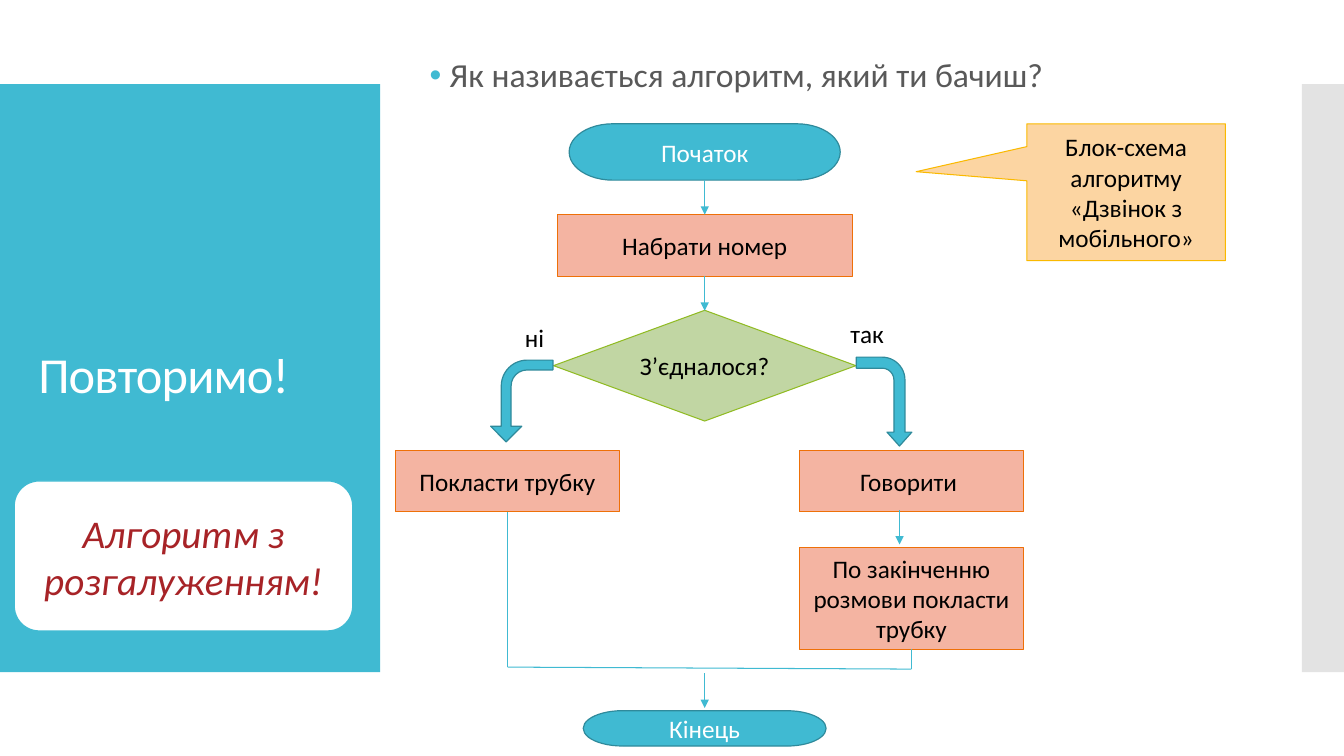
from dataclasses import dataclass

from lxml import etree
from pptx import Presentation
from pptx.dml.color import RGBColor
from pptx.enum.shapes import MSO_CONNECTOR, MSO_SHAPE
from pptx.enum.text import MSO_ANCHOR, MSO_AUTO_SIZE, PP_ALIGN
from pptx.oxml.ns import qn
from pptx.util import Cm, Pt

RECT = MSO_SHAPE.RECTANGLE
ROUND = MSO_SHAPE.ROUNDED_RECTANGLE
PILL = MSO_SHAPE.FLOWCHART_TERMINATOR
DIAMOND = MSO_SHAPE.DIAMOND
BENT = MSO_SHAPE.BENT_ARROW
CALLOUT = MSO_SHAPE.RECTANGULAR_CALLOUT
STRAIGHT = MSO_CONNECTOR.STRAIGHT
LEFT, CENTER = PP_ALIGN.LEFT, PP_ALIGN.CENTER
TOP, MIDDLE = MSO_ANCHOR.TOP, MSO_ANCHOR.MIDDLE
FIXED, GROW = MSO_AUTO_SIZE.NONE, MSO_AUTO_SIZE.SHAPE_TO_FIT_TEXT


@dataclass(frozen=True)
class Theme:
    font: str = "Calibri"
    teal: str = "40BAD2"
    edge: str = "2F8A9B"
    gray: str = "C8C8C8"
    white: str = "FFFFFF"
    black: str = "000000"
    body: str = "595959"
    red: str = "A72327"
    step: tuple = ("F4B4A2", "EE7008")
    test: tuple = ("C1D6A3", "90BB23")
    note: tuple = ("FCD5A2", "FAB900")
    title: int = 36
    large: int = 28
    medium: int = 24
    small: int = 18
    thin: float = 0.75
    thick: float = 0.85


THEME = Theme()


def assign(target, values):
    for name, value in values.items():
        setattr(target, name, value)


def add_xml(parent, tag, **attrs):
    return etree.SubElement(parent, qn(tag), attrs)


def write(shape, text, size, color, align=CENTER, anchor=MIDDLE,
          fit=FIXED, italic=False):
    frame = shape.text_frame
    assign(frame, {"word_wrap": True, "auto_size": fit,
                   "vertical_anchor": anchor})
    para = frame.paragraphs[0]
    para.alignment = align
    run = para.add_run()
    run.text = text
    assign(run.font, {"name": THEME.font, "size": Pt(size), "italic": italic})
    run.font.color.rgb = RGBColor.from_string(color)
    return para


def place(shape, box):
    names = ("left", "top", "width", "height")
    assign(shape, {name: Cm(part) for name, part in zip(names, box)})


def draw(slide, kind, box, fill, line=None, width=THEME.thin):
    shape = slide.shapes.add_shape(kind, *map(Cm, box))
    shape.shadow.inherit = False
    shape.fill.solid()
    shape.fill.fore_color.rgb = RGBColor.from_string(fill)
    if line:
        shape.line.color.rgb = RGBColor.from_string(line)
        shape.line.width = Pt(width)
    else:
        shape.line.fill.background()
    return shape


def link(slide, start, end, arrow=False):
    line = slide.shapes.add_connector(STRAIGHT, *map(Cm, start + end))
    line.line.color.rgb = RGBColor.from_string(THEME.teal)
    line.line.width = Pt(THEME.thin)
    if arrow:
        add_xml(line.line._get_or_add_ln(), "a:tailEnd", type="triangle")
    add_xml(line._element.spPr, "a:effectLst")


def add_bands(slide, top, height):
    """Put the teal and gray side bands behind the placeholders."""
    teal = draw(slide, RECT, (0, top, 9.58, height), THEME.teal)
    gray = draw(slide, RECT, (32.81, top, 1.06, height), THEME.gray)
    color = gray._element.spPr.find(".//" + qn("a:srgbClr"))
    add_xml(color, "a:alpha", val="50000")
    for band in (gray, teal):
        slide.shapes._spTree.insert(2, band._element)


def add_title(slide, box):
    title = slide.shapes.title
    place(title, box)
    para = write(title, "Повторимо!", THEME.title, THEME.white, LEFT)
    para.line_spacing = 0.9
    para.runs[0].font._element.set("spc", "-60")


def add_question(slide, box):
    body = slide.placeholders[1]
    place(body, box)
    para = body.text_frame.paragraphs[0]
    assign(para, {"line_spacing": 0.9, "space_before": Pt(0)})
    props = para._p.get_or_add_pPr()
    props.set("marL", str(Cm(0.51)))
    props.set("indent", str(Cm(-0.51)))
    add_xml(add_xml(props, "a:buClr"), "a:srgbClr", val=THEME.teal)
    add_xml(props, "a:buChar", char="•")
    write(body, "Як називається алгоритм, який ти бачиш?",
          THEME.medium, THEME.body, LEFT)


def add_note(slide, box):
    note = draw(slide, CALLOUT, box, *THEME.note)
    note.adjustments[0], note.adjustments[1] = -1.058, -0.15
    write(note, "Блок-схема алгоритму «Дзвінок з мобільного»",
          THEME.small, THEME.black)


def add_flow(slide, box):
    """Draw the branching chart around three vertical axes."""
    x, y, width, height = box
    side = 5.66
    mid, no, yes = width / 2 - 0.12, side / 2, width - side / 2
    ends = (THEME.teal, THEME.edge, THEME.thick)
    nodes = (
        ("Початок", PILL, mid, 0, 6.83, 1.42, ends, THEME.white),
        ("Набрати номер", RECT, mid, 2.29, 7.44, 1.55, THEME.step, THEME.black),
        ("З’єдналося?", DIAMOND, mid, 4.7, 7.62, 2.79, THEME.test, THEME.black),
        ("Покласти трубку", RECT, no, 8.23, side, 1.55, THEME.step, THEME.black),
        ("Говорити ", RECT, yes, 8.23, side, 1.55, THEME.step, THEME.black),
        ("По закінченню розмови покласти трубку", RECT, yes, 10.67, side, 2.57,
         THEME.step, THEME.black),
        ("Кінець", PILL, mid, height - 0.89, 6.12, 0.89, ends, THEME.white),
    )
    for text, kind, axis, top, wide, high, style, color in nodes:
        node = draw(slide, kind, (x + axis - wide / 2, y + top, wide, high), *style)
        write(node, text, THEME.small, color)

    turns = (
        ((11.2, 6.3, 2.24, 1.4), (0.199, 0.224, 0.25, 0.412), False),
        ((2.16, 6.2, 2.06, 1.57), (0.158, 0.25, 0.25, 0.415), True),
    )
    for (left, top, wide, high), bends, flip in turns:
        turn = draw(slide, BENT, (x + left, y + top, wide, high), *ends)
        turn.rotation = 90
        for index, bend in enumerate(bends):
            turn.adjustments[index] = bend
        if flip:
            turn._element.spPr.xfrm.set("flipV", "1")

    for text, left, top, wide in (("ні", 3.02, 4.88, 1.37), ("так", 11.22, 4.78, 1.96)):
        label = slide.shapes.add_textbox(Cm(x + left), Cm(y + top), Cm(wide), Cm(1.02))
        write(label, text, THEME.small, THEME.black, LEFT, TOP, GROW)

    for axis, top in ((mid, 1.42), (mid, 3.84), (yes - 0.3, 9.73), (mid, 13.85)):
        link(slide, (x + axis, y + top), (x + axis, y + top + 0.87), True)
    joint, corner = (x + no, y + 13.69), (x + yes, y + 13.74)
    link(slide, (x + no, y + 9.78), joint)
    link(slide, (x + yes, y + 13.24), corner)
    link(slide, joint, corner)


def add_answer(slide, box):
    badge = draw(slide, ROUND, box, THEME.white, THEME.teal, THEME.thick)
    write(badge, "Алгоритм з розгалуженням!", THEME.large, THEME.red, italic=True)


def main():
    deck = Presentation()
    assign(deck, {"slide_width": Cm(33.87), "slide_height": Cm(19.05)})
    slide = deck.slides.add_slide(deck.slide_layouts[1])
    add_bands(slide, 2.12, 14.82)
    add_title(slide, (0.71, 3.12, 8.18, 12.78))
    add_question(slide, (10.57, 0.76, 20.32, 2.36))
    add_note(slide, (25.88, 3.12, 5, 3.45))
    add_flow(slide, (9.96, 3.12, 15.84, 15.68))
    add_answer(slide, (0.36, 12.12, 8.53, 3.78))
    deck.save("out.pptx")


if __name__ == "__main__":
    main()
